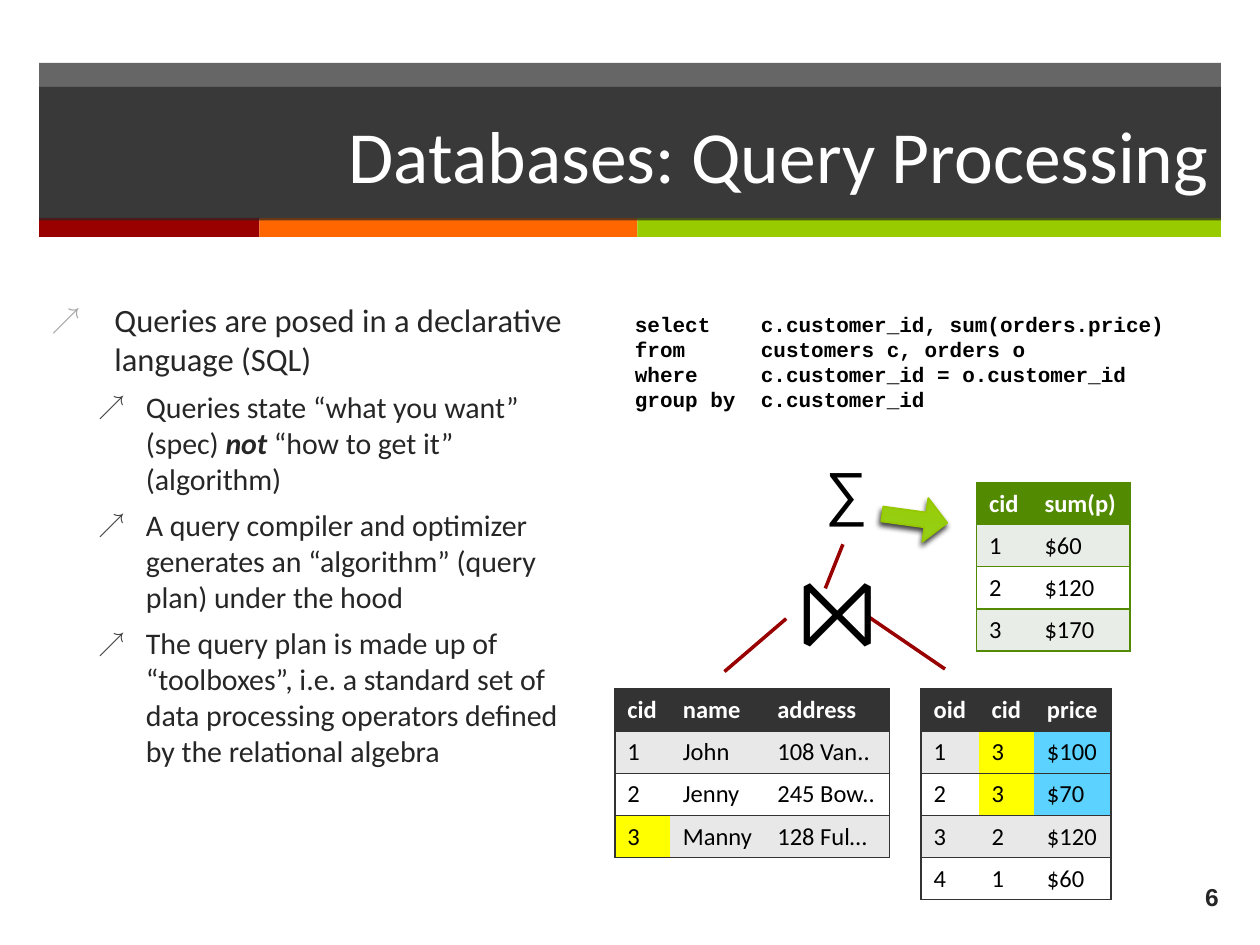
from lxml.etree import SubElement
from pptx import Presentation
from pptx.dml.color import RGBColor
from pptx.enum.shapes import MSO_CONNECTOR, MSO_SHAPE
from pptx.enum.text import MSO_ANCHOR, PP_ALIGN
from pptx.oxml import parse_xml
from pptx.oxml.ns import nsdecls, qn
from pptx.util import Inches, Pt

COLORS = {
    "ink": "262626", "black": "000000", "white": "FFFFFF",
    "red": "990000", "orange": "FF6600", "lime": "99CC00",
    "lime_start": "93CF1E", "lime_edge": "96C800",
    "bullet": "A6A6A6", "sub_bullet": "404040",
    "charcoal": "333333", "gray_band": "E8E8E8",
    "green": "528A02", "green_band": "E9EDE7",
    "yellow": "FFFF00", "blue": "5BD2FF",
}


def rgb(name):
    return RGBColor.from_string(COLORS[name])


def add_text(para, text, size=14, font="Calibri", color="ink", bold=False, italic=False):
    span = para.add_run()
    span.text = text
    span.font.size = Pt(size)
    span.font.name = font
    span.font.color.rgb = rgb(color)
    span.font.bold = bold
    span.font.italic = italic


deck = Presentation()
deck.slide_width, deck.slide_height = Inches(10), Inches(7.5)
page = deck.slides.add_slide(deck.slide_layouts[6])
shapes = page.shapes

# Page number
box = shapes.add_textbox(Inches(9.08), Inches(6.92), Inches(0.69), Inches(0.39))
box.text_frame.word_wrap = True
box.text_frame.vertical_anchor = MSO_ANCHOR.MIDDLE
para = box.text_frame.paragraphs[0]
para.alignment = PP_ALIGN.RIGHT
add_text(para, "6", font="Arial", bold=True)

# Header: translucent band, color strip, translucent title
for left, top, width, height, color, alpha in [
    (0.31, 0.5, 9.38, 1.24, "ink", 70),
    (0.31, 1.73, 1.75, 0.15, "red", 100),
    (2.06, 1.73, 3, 0.15, "orange", 100),
    (5.06, 1.73, 4.63, 0.15, "lime", 100),
    (0.31, 0.69, 9.38, 1.06, "ink", 70),
]:
    band = shapes.add_shape(MSO_SHAPE.RECTANGLE, Inches(left), Inches(top),
                            Inches(width), Inches(height))
    band.shadow.inherit = False
    band.line.fill.background()
    band.fill.solid()
    band.fill.fore_color.rgb = rgb(color)
    if alpha < 100:
        tint = band.fill._xPr.find(".//" + qn("a:srgbClr"))
        SubElement(tint, qn("a:alpha"), val=str(alpha * 1000))
title = band.text_frame
title.vertical_anchor = MSO_ANCHOR.MIDDLE
title.paragraphs[0].alignment = PP_ALIGN.RIGHT
add_text(title.paragraphs[0], "Databases: Query Processing", size=42, color="white")

# Bullets: level and (text, is emphasized) pieces
bullets = [
    (0, [("Queries are posed in a declarative language (SQL)", False)]),
    (1, [("Queries state “what you want” (spec) ", False), ("not", True),
         (" “how to get it” (algorithm)", False)]),
    (1, [("A query compiler and optimizer generates an “algorithm” "
          "(query plan) under the hood", False)]),
    (1, [("The query plan is made up of “toolboxes”, i.e. a standard set of data "
          "processing operators defined by the relational algebra", False)]),
]
levels = [(0.5, -0.5, 18.6, "bullet"), (0.75, -0.38, 17.1, "sub_bullet")]
box = shapes.add_textbox(Inches(0.31), Inches(2.33), Inches(4.36), Inches(4.53))
box.text_frame.word_wrap = True
for index, (level, pieces) in enumerate(bullets):
    para = box.text_frame.paragraphs[0] if index == 0 else box.text_frame.add_paragraph()
    margin, indent, size, bullet_color = levels[level]
    para.level = level
    if index:
        para.space_before = Pt(6)
    props = para._p.get_or_add_pPr()
    props.set("marL", str(Inches(margin)))
    props.set("indent", str(Inches(indent)))
    SubElement(SubElement(props, qn("a:buClr")), qn("a:srgbClr"), val=COLORS[bullet_color])
    SubElement(props, qn("a:buSzPct"), val="90000")
    SubElement(props, qn("a:buFont"), typeface="Arial")
    SubElement(props, qn("a:buChar"), char="↗")
    for text, emphasized in pieces:
        add_text(para, text, size=size, bold=emphasized, italic=emphasized)

# SQL query
query = [
    "select\tc.customer_id, sum(orders.price)",
    "from\t\tcustomers c, orders o",
    "where\tc.customer_id = o.customer_id",
    "group by\tc.customer_id",
]
box = shapes.add_textbox(Inches(4.94), Inches(2.42), Inches(4.75), Inches(0.91))
box.text_frame.word_wrap = True
for index, line in enumerate(query):
    para = box.text_frame.paragraphs[0] if index == 0 else box.text_frame.add_paragraph()
    tabs = SubElement(para._p.get_or_add_pPr(), qn("a:tabLst"))
    for stop in (0.5, 1):
        SubElement(tabs, qn("a:tab"), pos=str(Inches(stop)), algn="l")
    add_text(para, line, size=12, font="Courier New", color="black", bold=True)

# Tables: position, column widths, theme colors, rows, highlighted cells
ROW_HEIGHT = 0.33
tables = [
    (4.88, 5.47, [0.44, 0.75, 0.99], "charcoal", "gray_band",
     [["cid", "name", "address"], ["1", "John", "108 Van.."],
      ["2", "Jenny", "245 Bow.."], ["3", "Manny", "128 Ful…"]],
     {(3, 0): "yellow"}),
    (7.31, 5.47, [0.46, 0.44, 0.61], "charcoal", "gray_band",
     [["oid", "cid", "price"], ["1", "3", "$100"], ["2", "3", "$70"],
      ["3", "2", "$120"], ["4", "1", "$60"]],
     {(1, 1): "yellow", (2, 1): "yellow", (1, 2): "blue", (2, 2): "blue"}),
    (7.75, 3.83, [0.44, 0.78], "green", "green_band",
     [["cid", "sum(p)"], ["1", "$60"], ["2", "$120"], ["3", "$170"]], {}),
]
for left, top, widths, main, band_color, rows, highlights in tables:
    table = shapes.add_table(len(rows), len(widths), Inches(left), Inches(top),
                             Inches(sum(widths)), Inches(ROW_HEIGHT * len(rows))).table
    for column, width in zip(table.columns, widths):
        column.width = Inches(width)
    for r, row in enumerate(rows):
        for c, text in enumerate(row):
            cell = table.cell(r, c)
            edges = {"lnL": c == 0, "lnR": c == len(row) - 1, "lnT": True, "lnB": True}
            for edge, visible in edges.items():
                border = SubElement(cell._tc.get_or_add_tcPr(), qn("a:" + edge),
                                    w=str(Pt(1)))
                if visible:
                    paint = SubElement(border, qn("a:solidFill"))
                    SubElement(paint, qn("a:srgbClr"), val=COLORS[main])
                else:
                    SubElement(border, qn("a:noFill"))
            striped = main if r == 0 else band_color if r % 2 else "white"
            cell.fill.solid()
            cell.fill.fore_color.rgb = rgb(highlights.get((r, c), striped))
            add_text(cell.text_frame.paragraphs[0], text,
                     color="black" if r else "white", bold=r == 0)

# Query plan tree
for start_x, start_y, end_x, end_y in [
    (5.75, 5.33, 6.24, 4.91), (7.5, 5.31, 6.9, 4.9), (6.55, 4.67, 6.69, 4.32),
]:
    branch = shapes.add_connector(MSO_CONNECTOR.STRAIGHT, Inches(start_x), Inches(start_y),
                                  Inches(end_x), Inches(end_y))
    branch.line.color.rgb = rgb("red")
    branch.line.width = Pt(2)
    SubElement(branch._element.spPr, qn("a:effectLst"))

arrow = shapes.add_shape(MSO_SHAPE.RIGHT_ARROW, Inches(7), Inches(3.94),
                         Inches(0.52), Inches(0.35))
arrow.rotation = 7.8
arrow.adjustments[0] = 0.34
arrow.fill.gradient()
arrow.fill.gradient_angle = 90
for stop, color in zip(arrow.fill.gradient_stops, ["lime_start", "lime"]):
    stop.color.rgb = rgb(color)
arrow.line.color.rgb = rgb("lime_edge")
arrow.line.width = Pt(1)
arrow.shadow.inherit = False
arrow._element.spPr.find(qn("a:effectLst")).append(parse_xml(
    f'<a:outerShdw {nsdecls("a")} blurRad="{Pt(3)}" dist="{Pt(2)}" dir="{110 * 60000}" '
    f'rotWithShape="0"><a:srgbClr val="{COLORS["black"]}"><a:alpha val="75000"/>'
    '</a:srgbClr></a:outerShdw>'))

for symbol, left, top, width, height, size in [
    ("⨝", 6.25, 4.32, 0.72, 1.01, 54), ("∑", 6.45, 3.56, 0.54, 0.67, 34),
]:
    box = shapes.add_textbox(Inches(left), Inches(top), Inches(width), Inches(height))
    box.text_frame.word_wrap = False
    add_text(box.text_frame.paragraphs[0], symbol, size=size, font="Arial", color="black")

deck.save("out.pptx")
